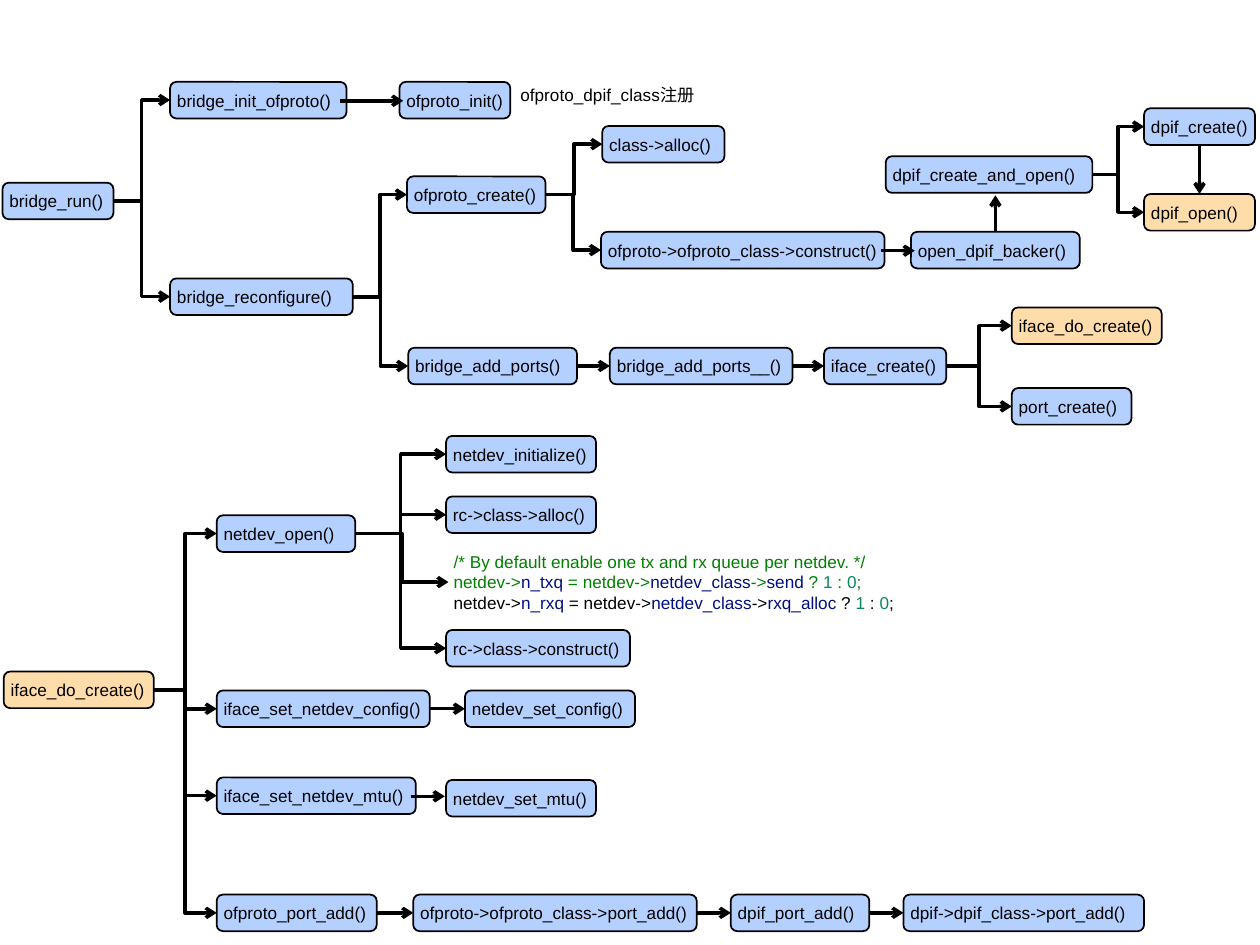
from dataclasses import dataclass
from typing import Any

from lxml import etree
from pptx import Presentation
from pptx import util as u
from pptx.dml import color
from pptx.enum import shapes, text
from pptx.oxml import ns

COLORS = {"call": "B4D0FF", "leaf": "FFDDAB", "ink": "000000",
          "comment": "008000", "member": "001080", "number": "09885A"}
TOP, LEFT, BOTTOM, RIGHT = range(4)


@dataclass
class CallGraph:
    slide: Any
    col: float
    row: float
    font: str = "Arial"
    size: float = 9.8
    box_rows: float = 2.9

    def place(self, cols, rows):
        return u.Emu(round(cols * self.col)), u.Emu(round(rows * self.row))

    def rgb(self, name):
        return color.RGBColor.from_string(COLORS[name])

    def set_frame(self, frame, **extra):
        inset = u.Inches(0.04)
        settings = {"word_wrap": True, "vertical_anchor": text.MSO_ANCHOR.MIDDLE,
                    "margin_left": inset, "margin_top": inset,
                    "margin_right": u.Inches(0.03), "margin_bottom": inset, **extra}
        for name, value in settings.items():
            setattr(frame, name, value)

    def add_runs(self, paragraph, runs):
        paragraph.alignment = text.PP_ALIGN.LEFT
        for words, ink in runs:
            run = paragraph.add_run()
            run.text = words
            for name, value in {"name": self.font, "size": u.Pt(self.size)}.items():
                setattr(run.font, name, value)
            run.font.color.rgb = self.rgb(ink)

    def call(self, label, left, top, width, fill="call"):
        box = self.slide.shapes.add_shape(
            shapes.MSO_SHAPE.ROUNDED_RECTANGLE,
            *self.place(left, top), *self.place(width, self.box_rows))
        box.adjustments[0] = 0.172
        box.shadow.inherit = False
        box.fill.solid()
        box.fill.fore_color.rgb = self.rgb(fill)
        box.line.color.rgb = self.rgb("ink")
        box.line.width = u.Pt(1)
        self.set_frame(box.text_frame)
        self.add_runs(box.text_frame.paragraphs[0], [(label, "ink")])
        return box

    def note(self, lines, left, top, width, height):
        box = self.slide.shapes.add_textbox(*self.place(left, top), *self.place(width, height))
        frame = box.text_frame
        self.set_frame(frame, auto_size=text.MSO_AUTO_SIZE.SHAPE_TO_FIT_TEXT)
        for number, runs in enumerate(lines):
            self.add_runs(frame.add_paragraph() if number else frame.paragraphs[0], runs)
        return box

    def arrow(self, start=(0, 0), end=(0, 0), kind=shapes.MSO_CONNECTOR.STRAIGHT):
        line = self.slide.shapes.add_connector(kind, *self.place(*start), *self.place(*end))
        line.line.color.rgb = self.rgb("ink")
        line.line.width = u.Pt(2)
        outline = line._element.spPr.find(ns.qn("a:ln"))
        etree.SubElement(outline, ns.qn("a:tailEnd"), type="arrow")
        etree.SubElement(line._element.spPr, ns.qn("a:effectLst"))
        return line

    def join(self, caller, callee, exit_side=RIGHT, entry_side=LEFT):
        straight = caller.top == callee.top or exit_side == BOTTOM
        kind = shapes.MSO_CONNECTOR.STRAIGHT if straight else shapes.MSO_CONNECTOR.ELBOW
        line = self.arrow(kind=kind)
        line.begin_connect(caller, exit_side)
        line.end_connect(callee, entry_side)

    def graph(self, calls, callees, notes=()):
        nodes = {call[0]: self.call(*call) for call in calls}
        nodes.update(notes)
        for caller, names in callees.items():
            for name in names:
                self.join(nodes[caller], nodes[name])
        return nodes


def queue_line(base, queue, hook):
    return [("netdev->", base), (queue, "member"), (" = netdev->", base),
            ("netdev_class", "member"), ("->", base), (hook, "member"), (" ? ", base),
            ("1", "number"), (" : ", base), ("0", "number"), (";", base)]


BRIDGE_CALLS = [
    ("bridge_run()", 0.2, 14.5, 8.8),
    ("bridge_init_ofproto()", 13.5, 6.5, 14),
    ("bridge_reconfigure()", 13.5, 22.1, 14.5),
    ("ofproto_init()", 31.7, 6.5, 8.8),
    ("ofproto_create()", 32.3, 14, 11),
    ("bridge_add_ports()", 32.4, 27.6, 13.4),
    ("bridge_add_ports__()", 48.4, 27.6, 14.5),
    ("iface_create()", 65.4, 27.6, 9.7),
    ("iface_do_create()", 80.3, 24.4, 11.9, "leaf"),
    ("port_create()", 80.3, 30.8, 9.5),
    ("class->alloc()", 47.8, 10, 9.7),
    ("ofproto->ofproto_class->construct()", 47.7, 18.4, 22.5),
    ("open_dpif_backer()", 72.3, 18.4, 13.4),
    ("dpif_create_and_open()", 70.3, 12.4, 16.4),
    ("dpif_create()", 90.8, 8.6, 8.8),
    ("dpif_open()", 90.8, 15.4, 8.8, "leaf"),
]
BRIDGE_CALLEES = {
    "bridge_run()": ["bridge_init_ofproto()", "bridge_reconfigure()"],
    "bridge_reconfigure()": ["ofproto_create()", "bridge_add_ports()"],
    "ofproto_create()": ["class->alloc()", "ofproto->ofproto_class->construct()"],
    "bridge_add_ports()": ["bridge_add_ports__()"],
    "bridge_add_ports__()": ["iface_create()"],
    "iface_create()": ["iface_do_create()", "port_create()"],
    "dpif_create_and_open()": ["dpif_create()", "dpif_open()"],
}
IFACE_CALLS = [
    ("iface_do_create()", 0.3, 53.3, 11.9, "leaf"),
    ("netdev_open()", 17.2, 40.9, 11),
    ("iface_set_netdev_config()", 17.2, 54.8, 16.9),
    ("iface_set_netdev_mtu()", 17.2, 61.7, 15.8),
    ("ofproto_port_add()", 17.2, 71, 12.7),
    ("netdev_initialize()", 35.4, 34.6, 11.9),
    ("rc->class->alloc()", 35.4, 39.4, 11.9),
    ("rc->class->construct()", 35.4, 50, 14.6),
    ("netdev_set_config()", 36.9, 54.8, 13.5),
    ("netdev_set_mtu()", 35.4, 61.9, 11.9),
    ("ofproto->ofproto_class->port_add()", 32.8, 71, 22.5),
    ("dpif_port_add()", 58, 71, 11),
    ("dpif->dpif_class->port_add()", 71.7, 71, 19.1),
]
IFACE_CALLEES = {
    "iface_do_create()": ["netdev_open()", "iface_set_netdev_config()",
                          "iface_set_netdev_mtu()", "ofproto_port_add()"],
    "netdev_open()": ["netdev_initialize()", "rc->class->alloc()", "queues",
                      "rc->class->construct()"],
    "iface_set_netdev_config()": ["netdev_set_config()"],
    "ofproto_port_add()": ["ofproto->ofproto_class->port_add()"],
    "ofproto->ofproto_class->port_add()": ["dpif_port_add()"],
    "dpif_port_add()": ["dpif->dpif_class->port_add()"],
}
LOOSE_ARROWS = [((27, 8), (32, 8)), ((69.9, 19.9), (72.6, 19.9)),
                ((79, 18.3), (79, 15.5)), ((32.6, 63.2), (35.3, 63.2))]


def main():
    deck = Presentation()
    deck.slide_width, deck.slide_height = u.Inches(10), u.Inches(7.5)
    slide = deck.slides.add_slide(deck.slide_layouts[6])
    chart = CallGraph(slide, deck.slide_width / 100, deck.slide_height / 75)

    bridge = chart.graph(BRIDGE_CALLS, BRIDGE_CALLEES)
    chart.join(bridge["dpif_create()"], bridge["dpif_open()"], BOTTOM, TOP)
    chart.note([[("ofproto_dpif_class注册", "ink")]], 40.9, 6.3, 14.6, 2.4)

    queues = chart.note([
        [("/* By default enable one tx and rx queue per netdev. */", "comment")],
        queue_line("comment", "n_txq", "send"),
        queue_line("ink", "n_rxq", "rxq_alloc"),
    ], 35.6, 43.3, 36.1, 5.8)
    chart.graph(IFACE_CALLS, IFACE_CALLEES, {"queues": queues})

    for start, end in LOOSE_ARROWS:
        chart.arrow(start, end)
    deck.save("out.pptx")


if __name__ == "__main__":
    main()
